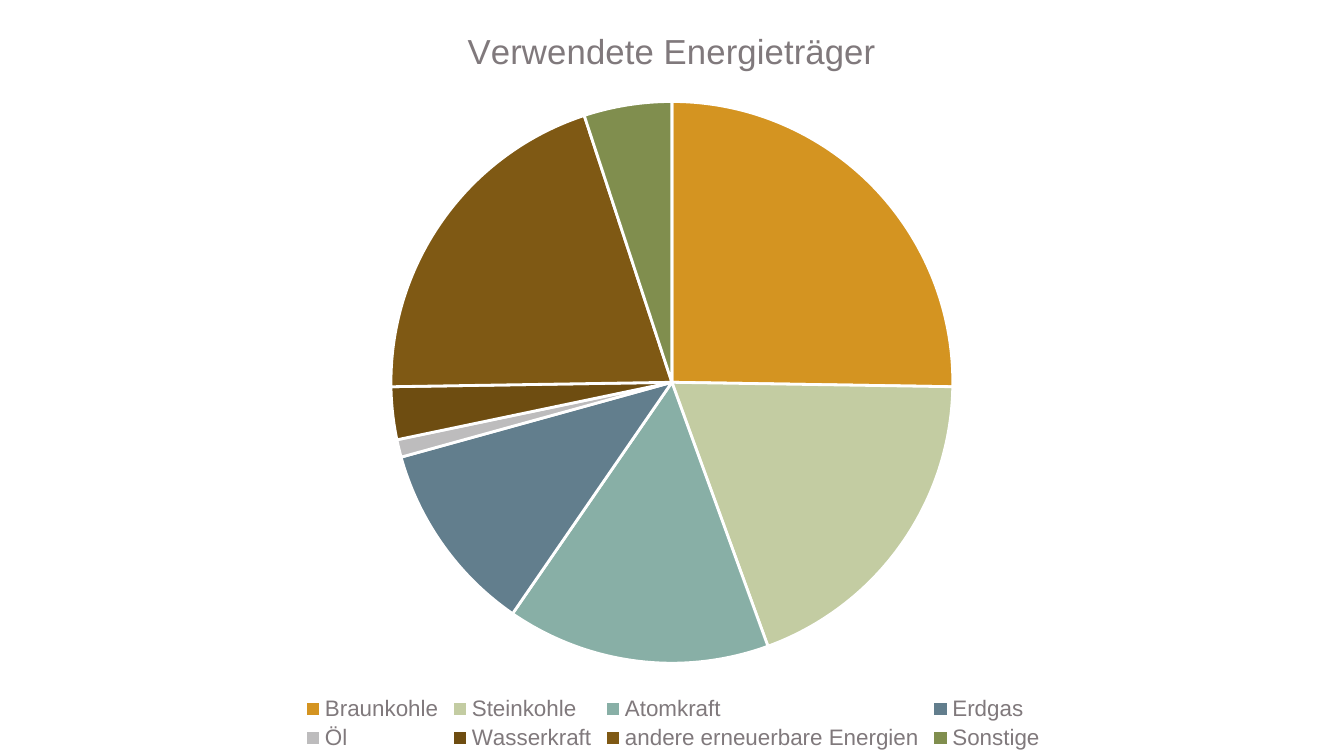
from pptx import Presentation
from pptx.chart.data import CategoryChartData as Data
from pptx.dml.color import RGBColor as Rgb
from pptx.enum.chart import XL_CHART_TYPE as Kind, XL_LEGEND_POSITION as Pos
from pptx.oxml import parse_xml
from pptx.oxml.ns import nsdecls
from pptx.util import Cm, Pt

TITLE = "Verwendete Energieträger"
SHARES = [
    ("Braunkohle", 25, "D49421"),
    ("Steinkohle", 19, "C3CCA2"),
    ("Atomkraft", 15, "88AFA6"),
    ("Erdgas", 11, "627E8D"),
    ("Öl", 1, "BDBCBD"),
    ("Wasserkraft", 3, "6E4D11"),
    ("andere erneuerbare Energien", 20, "7F5914"),
    ("Sonstige", 5, "808E4E"),
]
THEME = {
    "base": {"name": "Arial", "size": Pt(10), "color": "383536"},
    "title": {"name": "Arial", "size": Pt(18.6), "bold": False, "color": "80797C"},
    "legend": {"name": "Arial", "size": Pt(12), "color": "80797C"},
    "edge": "FFFFFF",
    "line": Pt(1.5),
}
WIDE, HIGH = Cm(25.4), Cm(14.29)
PIE = Cm(10.62)
PLACES = {
    "title": (1, {"x": Cm(8.72), "y": Cm(0.42)}),
    "plotArea": (0, {"x": (WIDE - PIE) / 2, "y": Cm(1.92), "w": PIE, "h": PIE}),
    "legend": (1, {"x": Cm(5.65), "y": Cm(13.08)}),
}
FULL = {"x": WIDE, "y": HIGH, "w": WIDE, "h": HIGH}


def style(font, look):
    for key, val in look.items():
        if key == "color":
            font.color.rgb = Rgb.from_string(val)
        else:
            setattr(font, key, val)


def place(chart, tag, slot, box):
    node = chart.element.xpath(f"c:chart/c:{tag}")[0]
    for old in node.xpath("c:layout"):
        node.remove(old)
    inner = '<c:layoutTarget val="inner"/>' if tag == "plotArea" else ""
    modes = "".join(f'<c:{key}Mode val="edge"/>' for key in "xy")
    sizes = "".join(f'<c:{key} val="{val / FULL[key]:.4f}"/>'
                    for key, val in box.items())
    node.insert(slot, parse_xml(
        f'<c:layout {nsdecls("c")}><c:manualLayout>{inner}{modes}{sizes}'
        "</c:manualLayout></c:layout>"))


def main():
    deck = Presentation()
    deck.slide_width, deck.slide_height = WIDE, HIGH
    slide = deck.slides.add_slide(deck.slide_layouts[6])

    names, vals, tints = zip(*SHARES)
    data = Data()
    data.categories = names
    data.add_series(TITLE, vals)
    chart = slide.shapes.add_chart(Kind.PIE, 0, 0, WIDE, HIGH, data).chart
    style(chart.font, THEME["base"])

    chart.has_title = True
    chart.chart_title.include_in_layout = False
    head = chart.chart_title.text_frame
    head.text = TITLE
    style(head.paragraphs[0].runs[0].font, THEME["title"])

    chart.has_legend = True
    chart.legend.position = Pos.BOTTOM
    chart.legend.include_in_layout = False
    style(chart.legend.font, THEME["legend"])

    plot = chart.plots[0]
    plot.vary_by_categories = True
    for num, tint in enumerate(tints):
        form = plot.series[0].points[num].format
        form.fill.solid()
        form.fill.fore_color.rgb = Rgb.from_string(tint)
        form.line.color.rgb = Rgb.from_string(THEME["edge"])
        form.line.width = THEME["line"]

    for tag, (slot, box) in PLACES.items():
        place(chart, tag, slot, box)
    deck.save("out.pptx")


if __name__ == "__main__":
    main()
